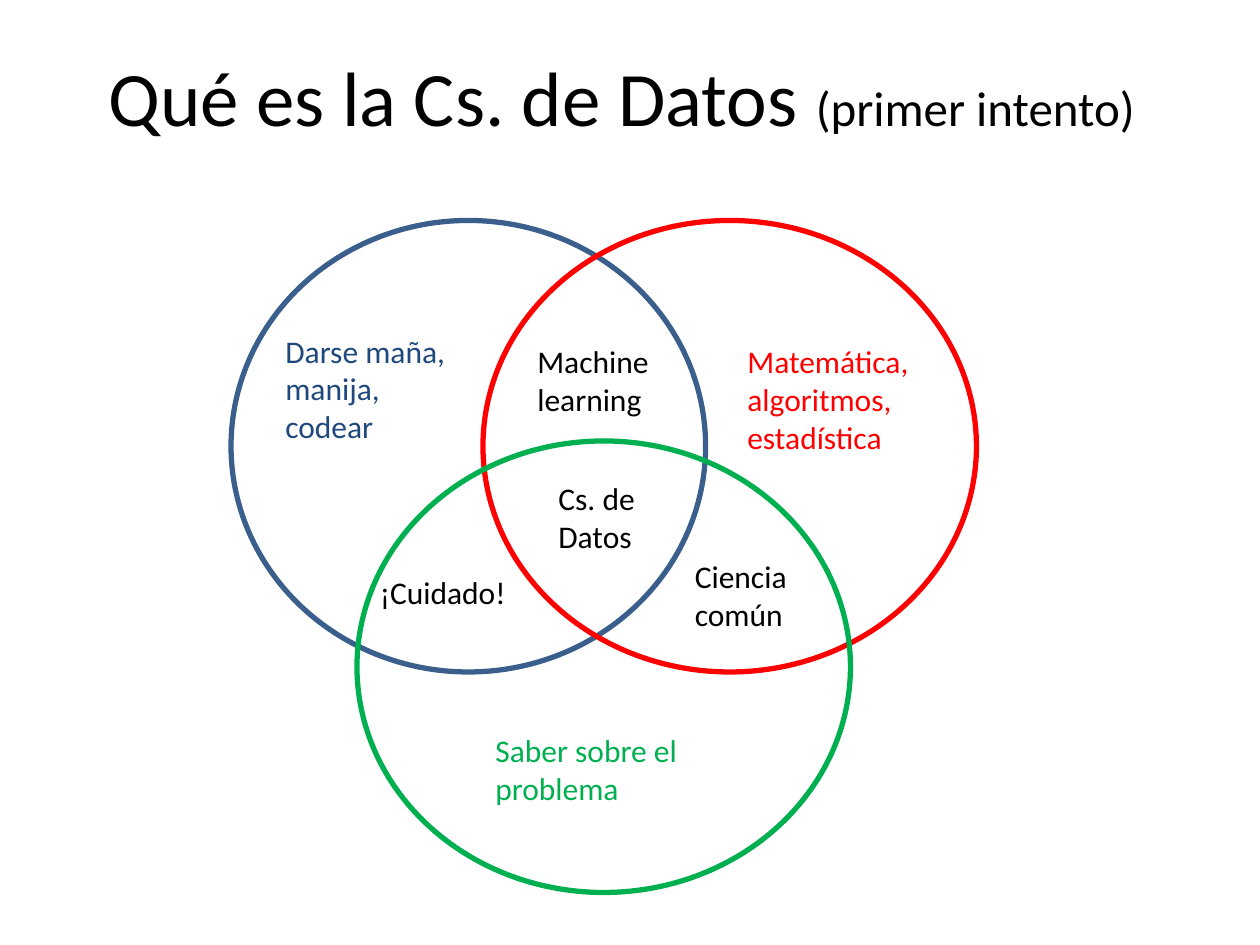
"""Build a three-circle Venn slide on what data science is."""
from dataclasses import dataclass

from pptx import Presentation
from pptx.dml.color import RGBColor
from pptx.enum.shapes import MSO_SHAPE as Preset
from pptx.enum.text import PP_ALIGN as Align
from pptx.util import Inches, Pt

COLUMNS, ROWS = 120, 90
WIDTH, HEIGHT = Inches(10), Inches(7.5)
FONT = "Calibri"
BLACK, NAVY, STEEL, RED, GREEN = "000000", "1F497D", "3A5F8C", "FF0000", "00B050"


@dataclass(frozen=True)
class Circle:
    """A Venn set, placed on the grid."""
    column: float
    row: float
    colour: str
    columns: float = 47
    rows: float = 43


@dataclass(frozen=True)
class Label:
    """A region's wording, one paragraph per entry."""
    column: float
    row: float
    paragraphs: tuple[str, ...]
    lines: int
    colour: str = BLACK
    columns: float = 25


CIRCLES = (
    Circle(22, 21, STEEL, columns=45.2),
    Circle(46, 21, RED),
    Circle(34, 42, GREEN),
)
LABELS = (
    Label(70, 32, ("Matemática, algoritmos, estadística",), 3, RED, columns=29),
    Label(46, 69, ("Saber sobre el problema",), 2, GREEN),
    Label(50, 32, ("Machine", "learning"), 2),
    Label(65, 52.5, ("Ciencia", "común"), 2),
    Label(35, 54, ("¡Cuidado!",), 1),
    Label(52, 45, ("Cs. de", "Datos"), 2),
    Label(26, 31, ("Darse maña,", "manija,", "codear"), 3, NAVY),
)


def rgb(colour: str) -> RGBColor:
    """Turn a hex string into a colour."""
    return RGBColor.from_string(colour)


def grid_box(column: float, row: float, columns: float, rows: float) -> tuple[int, ...]:
    """Convert grid units to left, top, width and height."""
    return (int(WIDTH * column / COLUMNS), int(HEIGHT * row / ROWS),
            int(WIDTH * columns / COLUMNS), int(HEIGHT * rows / ROWS))


def style_font(font, colour: str, size: float | None = None) -> None:
    """Set the typeface, colour and, if given, size."""
    font.name = FONT
    font.color.rgb = rgb(colour)
    if size:
        font.size = Pt(size)


def draw_title(slide) -> None:
    """Draw the centred heading in its two sizes."""
    frame = slide.shapes.add_textbox(*grid_box(1.7, 0, 115, 31.5)).text_frame
    frame.word_wrap = True
    frame.margin_top = Inches(0.39)
    heading = frame.paragraphs[0]
    heading.alignment = Align.CENTER
    style_font(heading.font, BLACK)
    for wording, size in (("Qué es la Cs. de Datos ", 44), ("(primer intento)", 28)):
        run = heading.add_run()
        run.text = wording
        run.font.size = Pt(size)


def draw_circle(slide, circle: Circle) -> None:
    """Draw an unfilled outline."""
    outline = slide.shapes.add_shape(
        Preset.OVAL, *grid_box(circle.column, circle.row, circle.columns, circle.rows))
    outline.shadow.inherit = False
    outline.fill.background()
    outline.line.color.rgb = rgb(circle.colour)
    outline.line.width = Pt(3)


def draw_label(slide, label: Label) -> None:
    """Write a region's wording in a box sized by its lines."""
    rows = 1.2 + 3.65 * label.lines
    frame = slide.shapes.add_textbox(
        *grid_box(label.column, label.row, label.columns, rows)).text_frame
    frame.word_wrap = True
    frame.text = "\n".join(label.paragraphs)
    for paragraph in frame.paragraphs:
        style_font(paragraph.font, label.colour, 18)


def main() -> None:
    """Assemble and save the slide."""
    deck = Presentation()
    deck.slide_width, deck.slide_height = WIDTH, HEIGHT
    slide = deck.slides.add_slide(deck.slide_layouts[6])
    draw_title(slide)
    for circle in CIRCLES:
        draw_circle(slide, circle)
    for label in LABELS:
        draw_label(slide, label)
    deck.save("out.pptx")


if __name__ == "__main__":
    main()
